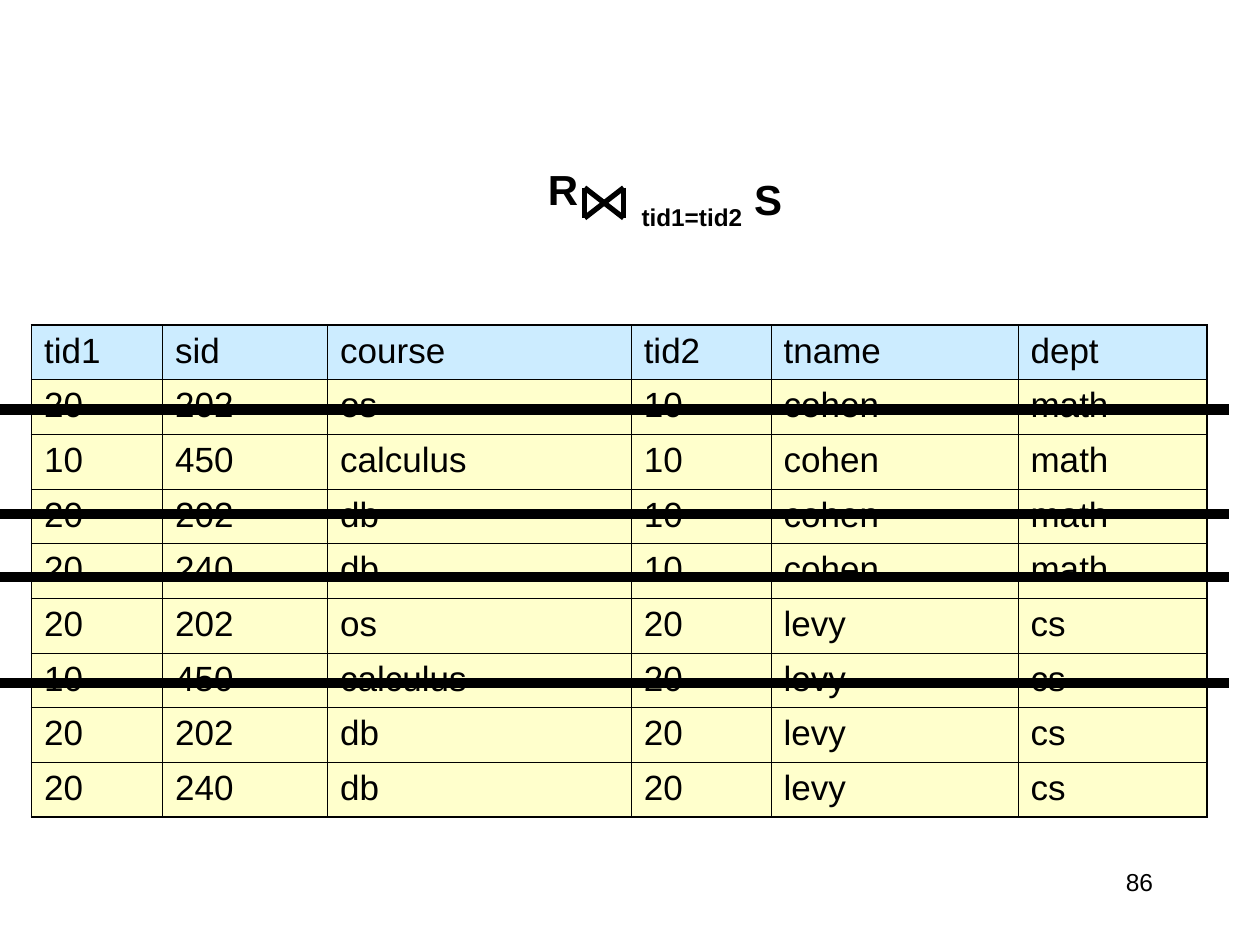
from typing import NamedTuple

from lxml import etree
from pptx import Presentation
from pptx import util as u
from pptx.dml.color import RGBColor
from pptx.enum import shapes, text
from pptx.oxml import ns

BLACK = RGBColor(0x00, 0x00, 0x00)
HEADER_BLUE = RGBColor(0xCC, 0xEC, 0xFF)
ROW_YELLOW = RGBColor(0xFF, 0xFF, 0xCC)
FONT = "Arial"
INNER_EDGE, OUTER_EDGE = 0.45, 1.08  # points


class Box(NamedTuple):
    """Place and size in inches."""
    left: float
    top: float
    width: float
    height: float


class Stroke(NamedTuple):
    """Straight line in inches, weight in points."""
    x1: float
    y1: float
    x2: float
    y2: float
    weight: float


TABLE = Box(0.25, 2.58, 9.33, 3.9)
COLUMN_WIDTHS = (1.04, 1.31, 2.41, 1.11, 1.96, 1.5)
HEADER = ("tid1", "sid", "course", "tid2", "tname", "dept")
ENROLMENTS = (("20", "202", "os"), ("10", "450", "calculus"),
              ("20", "202", "db"), ("20", "240", "db"))
TEACHERS = (("10", "cohen", "math"), ("20", "levy", "cs"))
# The crossed product: every enrolment paired with every teacher
PRODUCT = [enrolment + teacher for teacher in TEACHERS for enrolment in ENROLMENTS]
STRIKE_HEIGHTS = (3.25, 4.08, 4.58, 5.42)
BOWTIE = Box(4.64, 1.49, 0.31, 0.24)


def style(paragraph, size: float, bold: bool = False) -> None:
    font = paragraph.font
    font.name, font.size, font.bold = FONT, u.Pt(size), bold
    font.color.rgb = BLACK


def add_label(slide, box: Box, runs: tuple[str, ...], size: float,
              bold: bool = False, wrap: bool = True):
    frame = slide.shapes.add_textbox(*map(u.Inches, box)).text_frame
    frame.word_wrap = wrap
    paragraph = frame.paragraphs[0]
    for words in runs:
        paragraph.add_run().text = words
    style(paragraph, size, bold)
    return paragraph


def draw_stroke(parent, stroke: Stroke) -> None:
    line = parent.add_connector(shapes.MSO_CONNECTOR.STRAIGHT,
                                *map(u.Inches, stroke[:4]))
    line.line.color.rgb = BLACK
    line.line.width = u.Pt(stroke.weight)
    etree.SubElement(line._element.spPr, ns.qn("a:effectLst"))


def set_borders(cell, outer: dict[str, bool]) -> None:
    """Add the edges in schema order, ahead of the fill."""
    for position, (side, is_outer) in enumerate(outer.items()):
        edge = etree.Element(ns.qn(f"a:ln{side}"))
        edge.set("w", str(u.Pt(OUTER_EDGE if is_outer else INNER_EDGE)))
        fill = etree.SubElement(edge, ns.qn("a:solidFill"))
        etree.SubElement(fill, ns.qn("a:srgbClr")).set("val", str(BLACK))
        cell._tc.get_or_add_tcPr().insert(position, edge)


def draw_table(slide) -> None:
    rows = [HEADER, *PRODUCT]
    last_row, last_column = len(rows) - 1, len(HEADER) - 1
    table = slide.shapes.add_table(len(rows), len(HEADER),
                                   *map(u.Inches, TABLE)).table
    for column, width in zip(table.columns, COLUMN_WIDTHS):
        column.width = u.Inches(width)
    for r, values in enumerate(rows):
        for c, value in enumerate(values):
            cell = table.cell(r, c)
            cell.text = value
            style(cell.text_frame.paragraphs[0], 20)
            cell.fill.solid()
            cell.fill.fore_color.rgb = ROW_YELLOW if r else HEADER_BLUE
            set_borders(cell, {"L": c == 0, "R": c == last_column,
                               "T": r == 0, "B": r == last_row})


def draw_bowtie(slide) -> None:
    left, top, width, height = BOWTIE
    right, bottom = left + width, top + height
    group = slide.shapes.add_group_shape().shapes
    for x1, x2 in ((left, left), (right, right), (left, right), (right, left)):
        draw_stroke(group, Stroke(x1, top, x2, bottom, 3))


def main() -> None:
    deck = Presentation()
    deck.slide_width, deck.slide_height = u.Inches(10), u.Inches(7.5)
    slide = deck.slides.add_slide(deck.slide_layouts[6])

    # Page number
    number = add_label(slide, Box(7.17, 6.83, 2.08, 0.5), ("86",), 14)
    number.alignment = text.PP_ALIGN.RIGHT

    # Product table with the rows that fail the join struck out
    draw_table(slide)
    for y in STRIKE_HEIGHTS:
        draw_stroke(slide.shapes, Stroke(0, y, 9.75, y, 6))

    # Join expression: R, bowtie, condition as subscript, S
    add_label(slide, Box(4.25, 1.25, 3.28, 0.5), ("R",), 24, bold=True)
    condition = add_label(slide, Box(4.94, 1.33, 1.37, 0.56),
                          (" tid1=tid2", " S"), 24, bold=True, wrap=False)
    condition.runs[0].font._element.set("baseline", "-25000")
    draw_bowtie(slide)

    deck.save("out.pptx")


if __name__ == "__main__":
    main()
